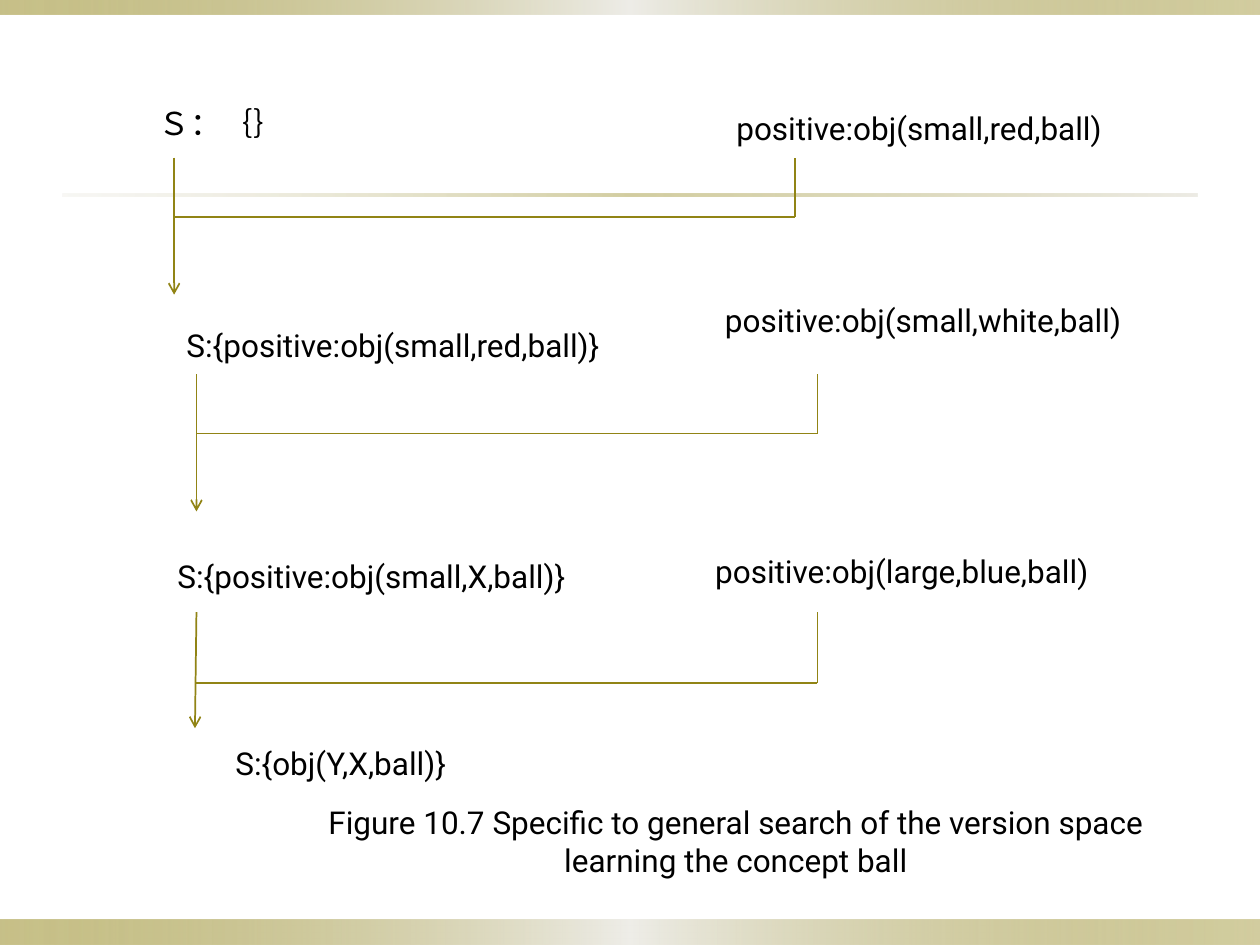
from dataclasses import dataclass

from lxml import etree
from pptx import Presentation
from pptx.dml.color import RGBColor
from pptx.enum.shapes import MSO_CONNECTOR, MSO_SHAPE
from pptx.enum.text import MSO_ANCHOR, PP_ALIGN
from pptx.oxml.ns import qn
from pptx.shapes.connector import Connector
from pptx.slide import Slide
from pptx.util import Cm, Pt

RECTANGLE = MSO_SHAPE.RECTANGLE
STRAIGHT = MSO_CONNECTOR.STRAIGHT
ELBOW = MSO_CONNECTOR.ELBOW
MIDDLE = MSO_ANCHOR.MIDDLE
CENTER = PP_ALIGN.CENTER

OLIVE = RGBColor(0x91, 0x84, 0x15)
PALE = RGBColor(0xEE, 0xED, 0xE8)
SAND = RGBColor(0xDC, 0xD9, 0xCC)
BLACK = RGBColor(0x00, 0x00, 0x00)

FONT = "Roboto"
BRANCH_WIDTH = 12.52


@dataclass(frozen=True)
class Stop:
    color: RGBColor
    opacity: int


@dataclass(frozen=True)
class Band:
    left: float
    top: float
    width: float
    height: float
    stops: tuple[Stop, Stop, Stop]


@dataclass(frozen=True)
class Step:
    left: float
    top: float
    branch: float
    tip_left: float
    tip: float


@dataclass(frozen=True)
class Label:
    text: str
    left: float
    top: float
    width: float
    height: float


EDGE_STOPS = (Stop(OLIVE, 50), Stop(PALE, 100), Stop(OLIVE, 40))
RULE_STOPS = (Stop(SAND, 20), Stop(OLIVE, 40), Stop(SAND, 50))

BANDS = [
    Band(0, 18.54, 25.4, 0.51, EDGE_STOPS),
    Band(0, 0, 25.4, 0.3, EDGE_STOPS),
    Band(1.27, 3.91, 22.86, 0.05, RULE_STOPS),
]

STEPS = [
    Step(3.51, 3.18, 4.37, 3.51, 5.94),
    Step(3.96, 7.54, 8.74, 3.96, 10.31),
    Step(3.96, 12.34, 13.77, 3.93, 14.68),
]

LABELS = [
    Label("Ｓ：｛｝", 2.01, 1.98, 4.93, 0.99),
    Label("positive:obj(small,red,ball)", 13.64, 1.98, 9.78, 1.19),
    Label("S:{positive:obj(small,red,ball)}", 1.98, 6.35, 11.89, 1.19),
    Label("positive:obj(small,white,ball)", 13.21, 5.56, 10.8, 1.78),
    Label("S:{positive:obj(small,X,ball)}", 1.98, 10.92, 11.02, 1.4),
    Label("positive:obj(large,blue,ball)", 13, 10.92, 10.36, 1.19),
    Label("S:{obj(Y,X,ball)}", 2.44, 14.88, 8.86, 0.99),
    Label(
        "Figure 10.7 Specific to general search of the version space "
        "learning the concept ball",
        6.3, 16.46, 17.07, 0.99,
    ),
]


def draw_band(slide: Slide, band: Band) -> None:
    bar = slide.shapes.add_shape(
        RECTANGLE, Cm(band.left), Cm(band.top), Cm(band.width), Cm(band.height)
    )
    bar.shadow.inherit = False
    bar.line.fill.background()
    bar.fill.gradient()
    bar.fill.gradient_angle = 0
    stop_list = bar.fill._xPr.find(qn("a:gradFill")).find(qn("a:gsLst"))
    for old_stop in list(stop_list):
        stop_list.remove(old_stop)
    for index, stop in enumerate(band.stops):
        entry = etree.SubElement(stop_list, qn("a:gs"), pos=str(index * 50000))
        color = etree.SubElement(entry, qn("a:srgbClr"), val=str(stop.color))
        if stop.opacity < 100:
            etree.SubElement(color, qn("a:alpha"), val=str(stop.opacity * 1000))


def draw_line(
    slide: Slide, kind: int, start: tuple[float, float], end: tuple[float, float]
) -> Connector:
    line = slide.shapes.add_connector(
        kind, Cm(start[0]), Cm(start[1]), Cm(end[0]), Cm(end[1])
    )
    line.line.color.rgb = OLIVE
    line.line.width = Pt(1)
    etree.SubElement(line._element.spPr, qn("a:effectLst"))
    return line


def draw_step(slide: Slide, step: Step) -> None:
    right = step.left + BRANCH_WIDTH
    stem = draw_line(
        slide, STRAIGHT, (step.left, step.top), (step.tip_left, step.tip)
    )
    etree.SubElement(stem.line._get_or_add_ln(), qn("a:tailEnd"), type="arrow")
    draw_line(slide, ELBOW, (step.left, step.branch), (right, step.branch))
    draw_line(slide, STRAIGHT, (right, step.branch), (right, step.top))


def draw_label(slide: Slide, label: Label) -> None:
    box = slide.shapes.add_textbox(
        Cm(label.left), Cm(label.top), Cm(label.width), Cm(label.height)
    )
    frame = box.text_frame
    frame.word_wrap = True
    frame.vertical_anchor = MIDDLE
    paragraph = frame.paragraphs[0]
    paragraph.text = label.text
    paragraph.alignment = CENTER
    paragraph.font.name = FONT
    paragraph.font.size = Pt(18)
    paragraph.font.color.rgb = BLACK


def main() -> None:
    deck = Presentation()
    deck.slide_width = Cm(25.4)
    deck.slide_height = Cm(19.05)
    slide = deck.slides.add_slide(deck.slide_layouts[6])
    for band in BANDS:
        draw_band(slide, band)
    for step in STEPS:
        draw_step(slide, step)
    for label in LABELS:
        draw_label(slide, label)
    deck.save("out.pptx")


if __name__ == "__main__":
    main()
